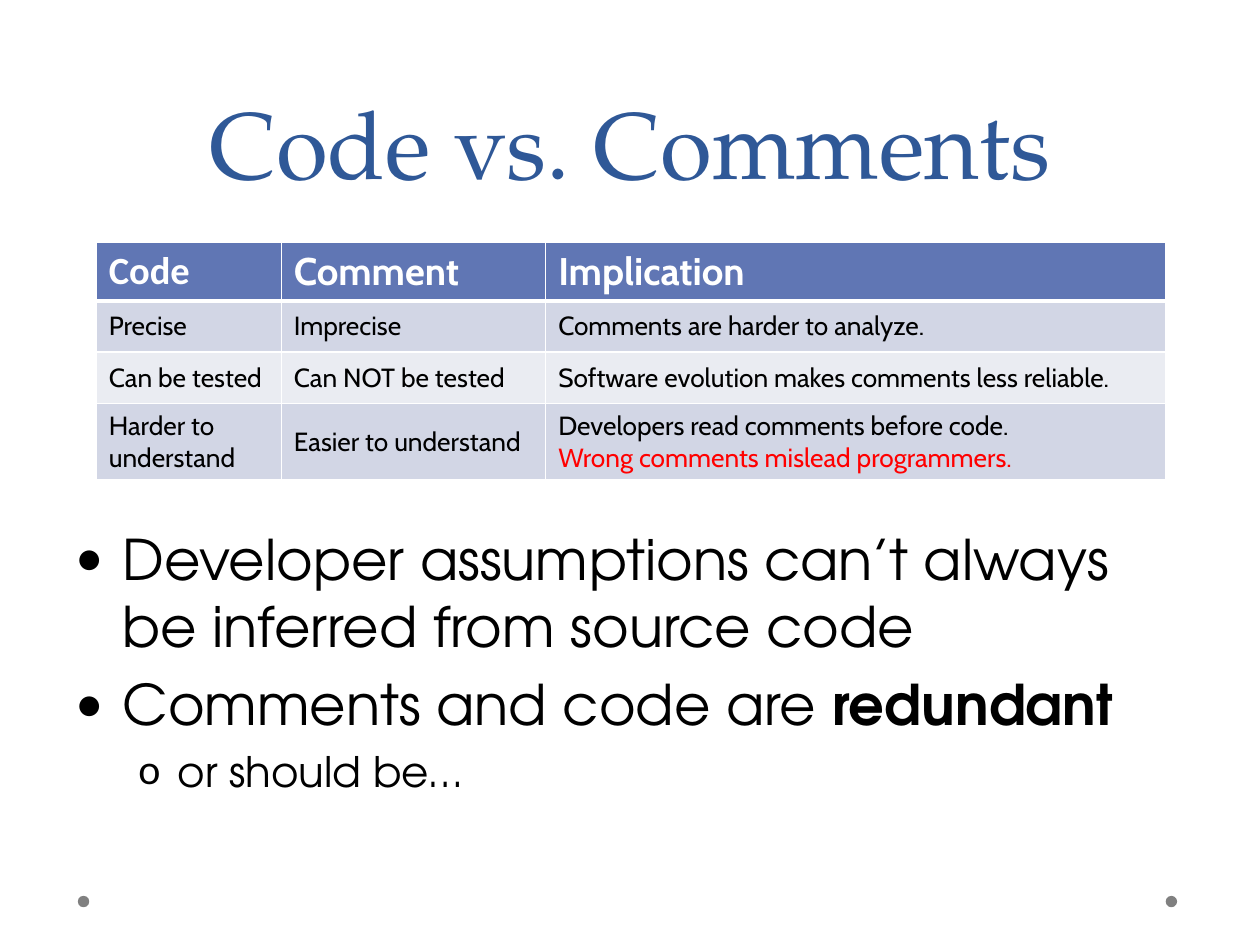
from typing import NamedTuple

from lxml import etree
from pptx import Presentation
from pptx import util as u
from pptx.dml.color import RGBColor
from pptx.enum import shapes, text
from pptx.oxml import ns

TITLE_BLUE = RGBColor(0x2F, 0x58, 0x97)
HEADER_BLUE = RGBColor(0x60, 0x76, 0xB4)
BAND_DARK = RGBColor(0xD2, 0xD6, 0xE5)
BAND_LIGHT = RGBColor(0xEA, 0xEC, 0xF2)
WHITE = RGBColor(0xFF, 0xFF, 0xFF)
BLACK = RGBColor(0, 0, 0)
RED = RGBColor(0xFF, 0, 0)
GRAY = RGBColor(0x80, 0x80, 0x80)

TITLE_FONT = "TeX Gyre Pagella"
BODY_FONT = "TeX Gyre Adventor"
TABLE_FONT = "Cabin"
BULLET_FONT = "Calibri"


class Span(NamedTuple):
    words: str
    bold: bool = False


class Bullet(NamedTuple):
    spans: tuple[Span, ...]
    level: int = 0


class Level(NamedTuple):
    mark: str
    size: int
    margin: u.Length
    hanging: u.Length


LEVELS = (
    Level("•", 32, u.Cm(0.95), u.Cm(0.95)),
    Level("o", 24, u.Cm(2.06), u.Cm(0.79)),
)
BULLETS = (
    Bullet((Span("Developer assumptions can’t always be inferred from source code"),)),
    Bullet((Span("Comments and code are "), Span("redundant", True))),
    Bullet((Span("or should be…"),), 1),
)
ROWS = (
    ("Code", "Comment", "Implication"),
    ("Precise", "Imprecise", "Comments are harder to analyze."),
    ("Can be tested", "Can NOT be tested", "Software evolution makes comments less reliable."),
    ("Harder to understand", "Easier to understand", "Developers read comments before code."),
)
WARNING = "Wrong comments mislead programmers."
COLUMN_WIDTHS = (u.Cm(3.73), u.Cm(5.33), u.Cm(12.5))
ROW_HEIGHTS = (u.Cm(1.17), u.Cm(1.03), u.Cm(1.04), u.Cm(1.53))


def set_font(font, name: str, size: int, color: RGBColor, bold: bool = False) -> None:
    font.name, font.size, font.bold = name, u.Pt(size), bold
    font.color.rgb = color


def add_dot(page, left: u.Length) -> None:
    dot = page.shapes.add_shape(
        shapes.MSO_SHAPE.OVAL, left, u.Cm(18.06), u.Cm(0.23), u.Cm(0.23))
    dot.shadow.inherit = False
    dot.fill.solid()
    dot.fill.fore_color.rgb = GRAY
    dot.line.fill.background()


def add_title(page, words: str) -> None:
    box = page.shapes.add_textbox(u.Cm(1.27), u.Cm(-0.33), u.Cm(22.86), u.Cm(4.45))
    box.text_frame.word_wrap = True
    box.text_frame.vertical_anchor = text.MSO_ANCHOR.BOTTOM
    para = box.text_frame.paragraphs[0]
    para.text = words
    para.alignment = text.PP_ALIGN.CENTER
    para.line_spacing = u.Pt(58)
    set_font(para.font, TITLE_FONT, 54, TITLE_BLUE)


def set_border(cell, side: str, width: int) -> None:
    line = etree.SubElement(
        cell._tc.get_or_add_tcPr(), ns.qn(f"a:ln{side}"), w=str(u.Pt(width)))
    fill = etree.SubElement(line, ns.qn("a:solidFill"))
    etree.SubElement(fill, ns.qn("a:srgbClr"), val=str(WHITE))


def fill_cell(cell, words: str, row: int, column: int) -> None:
    header = row == 0
    widths = {"L": 1, "R": 1, "T": 3 if row == 1 else 1, "B": 3 if header else 1}
    for side, width in widths.items():
        set_border(cell, side, width)
    cell.fill.solid()
    cell.fill.fore_color.rgb = (
        HEADER_BLUE if header else BAND_DARK if row % 2 else BAND_LIGHT)
    cell.vertical_anchor = text.MSO_ANCHOR.MIDDLE
    para = cell.text_frame.paragraphs[0]
    para.text = words
    name = "Calibri" if header and column == 0 else TABLE_FONT
    set_font(para.font, name, 22 if header else 15, WHITE if header else BLACK, header)


def add_comparison(page) -> None:
    table = page.shapes.add_table(
        len(ROWS), len(COLUMN_WIDTHS), u.Cm(1.94), u.Cm(4.88),
        sum(COLUMN_WIDTHS), sum(ROW_HEIGHTS)).table
    for column, width in zip(table.columns, COLUMN_WIDTHS):
        column.width = width
    for row, height in zip(table.rows, ROW_HEIGHTS):
        row.height = height
    for row, entries in enumerate(ROWS):
        for column, words in enumerate(entries):
            fill_cell(table.cell(row, column), words, row, column)
    para = table.cell(3, 2).text_frame.paragraphs[0]
    para.add_line_break()
    span = para.add_run()
    span.text = WARNING
    span.font.color.rgb = RED


def write_bullet(para, bullet: Bullet) -> None:
    level = LEVELS[bullet.level]
    para.level = bullet.level
    para.space_before = u.Pt(level.size * 0.2)
    set_font(para.font, BODY_FONT, level.size, BLACK)
    for part in bullet.spans:
        span = para.add_run()
        span.text = part.words
        if part.bold:
            span.font.bold = True
    properties = para._p.get_or_add_pPr()
    properties.set("marL", str(level.margin))
    properties.set("indent", str(-level.hanging))
    mark_font = etree.Element(ns.qn("a:buFont"), typeface=BULLET_FONT)
    mark = etree.Element(ns.qn("a:buChar"), char=level.mark)
    defaults = properties.find(ns.qn("a:defRPr"))
    defaults.addprevious(mark_font)
    defaults.addprevious(mark)


def add_bullets(page) -> None:
    box = page.shapes.add_textbox(u.Cm(1.27), u.Cm(10.44), u.Cm(22.86), u.Cm(6.53))
    frame = box.text_frame
    frame.word_wrap = True
    for index, bullet in enumerate(BULLETS):
        write_bullet(frame.add_paragraph() if index else frame.paragraphs[0], bullet)


def main() -> None:
    deck = Presentation()
    deck.slide_width, deck.slide_height = u.Cm(25.4), u.Cm(19.05)
    page = deck.slides.add_slide(deck.slide_layouts[6])
    for left in (u.Cm(23.5), u.Cm(1.57)):
        add_dot(page, left)
    add_title(page, "Code vs. Comments")
    add_comparison(page)
    add_bullets(page)
    deck.save("out.pptx")


if __name__ == "__main__":
    main()
